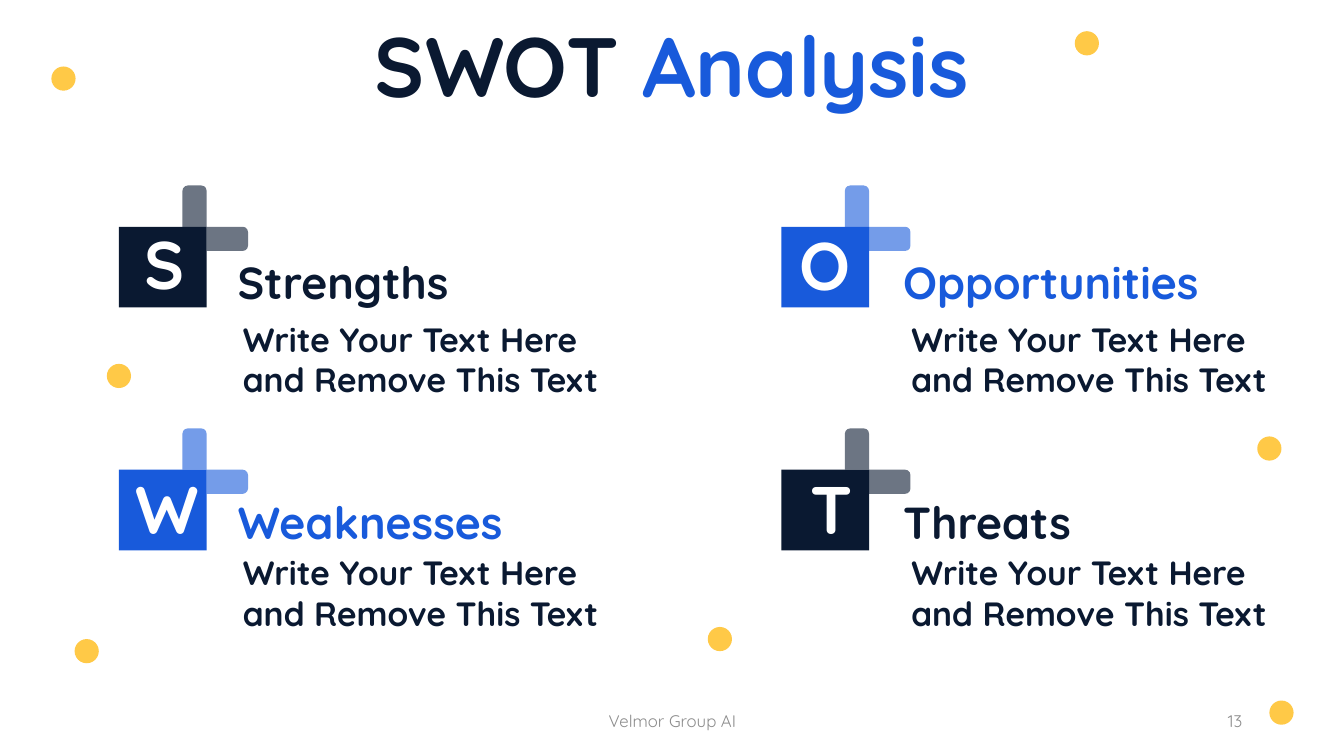
from pptx import Presentation
from pptx.dml.color import RGBColor
from pptx.enum.shapes import MSO_SHAPE as Shape
from pptx.enum.text import MSO_ANCHOR as Anchor, MSO_AUTO_SIZE as Fit, PP_ALIGN as Align
from pptx.util import Inches, Pt

NAVY = RGBColor(0x0A, 0x19, 0x31)
BLUE = RGBColor(0x18, 0x5A, 0xDB)
SLATE = RGBColor(0x6C, 0x75, 0x83)
SKY = RGBColor(0x74, 0x9C, 0xE9)
GOLD = RGBColor(0xFF, 0xC9, 0x47)
GRAY = RGBColor(0x8C, 0x8C, 0x8C)
WHITE = RGBColor(0xFF, 0xFF, 0xFF)
FONT = "Quicksand"

# Content
TITLE = [("SWOT ", NAVY), ("Analysis", BLUE)]
BODY = "Write Your Text Here and Remove This Text"
FOOTER, PAGE = "Velmor Group AI", "13"

# Column, row, heading, heading width, colours, letter box (left, top, width)
QUADS = [
    (0, 0, "Strengths", 2.76, NAVY, SLATE, (1.33, 2.16, 0.55)),
    (0, 1, "Weaknesses", 3.68, BLUE, SKY, (1.25, 4.59, 0.71)),
    (1, 0, "Opportunities", 3.96, BLUE, SKY, (7.83, 2.17, 0.7)),
    (1, 1, "Threats", 2.19, NAVY, SLATE, (7.94, 4.59, 0.47)),
]
# Tile left, heading left, body left and body width of each column
COLS = [(1.18, 2.26, 2.31, 3.89), (7.75, 8.86, 8.94, 3.96)]
# Tile top, heading top and body top of each row
ROWS = [(2.25, 2.48, 3.11), (4.66, 4.86, 5.43)]
DOTS = [(0.63, 0.78), (10.78, 0.43), (12.59, 4.45), (7.14, 6.34),
        (12.71, 7.07), (1.18, 3.73), (0.86, 6.46)]
TILE_W, TILE_H = 0.87, 0.8
ARM_W, ARM_H = 0.24, 0.41
DOT = 0.24

deck = Presentation()
deck.slide_width, deck.slide_height = Inches(13.33), Inches(7.5)
slide = deck.slides.add_slide(deck.slide_layouts[6])


def add_part(kind, x, y, w, h, fill):
    part = slide.shapes.add_shape(kind, Inches(x), Inches(y), Inches(w), Inches(h))
    part.shadow.inherit = False
    part.fill.solid()
    part.fill.fore_color.rgb = fill
    part.line.fill.background()
    return part


def add_text(text, x, y, w, h, size=24, color=NAVY, bold=True,
             align=Align.LEFT, anchor=Anchor.TOP, wrap=True, fit=Fit.SHAPE_TO_FIT_TEXT):
    box = slide.shapes.add_textbox(Inches(x), Inches(y), Inches(w), Inches(h))
    frame = box.text_frame
    frame.word_wrap, frame.auto_size = wrap, fit
    frame.vertical_anchor = anchor
    para = frame.paragraphs[0]
    para.alignment = align
    for words, tint in [(text, color)] if isinstance(text, str) else text:
        run = para.add_run()
        run.text = words
        font = run.font
        font.name, font.size, font.bold = FONT, Pt(size), bold
        font.color.rgb = tint


def add_arm(x, y, fill, turn=0):
    arm = add_part(Shape.ROUND_2_SAME_RECTANGLE, x - ARM_W / 2, y - ARM_H / 2,
                   ARM_W, ARM_H, fill)
    arm.adjustments[0] = 0.22
    arm.rotation = turn


# Gold dots
for x, y in DOTS:
    add_part(Shape.OVAL, x - DOT / 2, y - DOT / 2, DOT, DOT, GOLD)

# Quadrants: two arms at the tile's top right corner, tile, letter, texts
for col, row, head, width, color, tint, (lx, ly, lw) in QUADS:
    left, head_x, body_x, body_w = COLS[col]
    top, head_y, body_y = ROWS[row]
    right = left + TILE_W
    add_arm(right - ARM_W / 2, top - ARM_H / 2, tint)
    add_arm(right + ARM_H / 2, top + ARM_W / 2, tint, turn=90)
    add_part(Shape.RECTANGLE, left, top, TILE_W, TILE_H, color)
    add_text(head, head_x, head_y, width, 0.64, size=32, color=color, wrap=False)
    add_text(BODY, body_x, body_y, body_w, 0.91)
    add_text(head[0], lx, ly, lw, 0.91, size=48, color=WHITE,
             align=Align.CENTER, wrap=head[0] != "S")

# Title and footer
add_text(TITLE, 2.78, 0.08, 7.77, 1.11, size=60, align=Align.CENTER)
for text, x, w, align in [(FOOTER, 4.42, 4.5, Align.CENTER), (PAGE, 9.42, 3, Align.RIGHT)]:
    add_text(text, x, 6.95, w, 0.4, size=12, color=GRAY, bold=False,
             align=align, anchor=Anchor.MIDDLE, fit=Fit.NONE)

deck.save("out.pptx")
